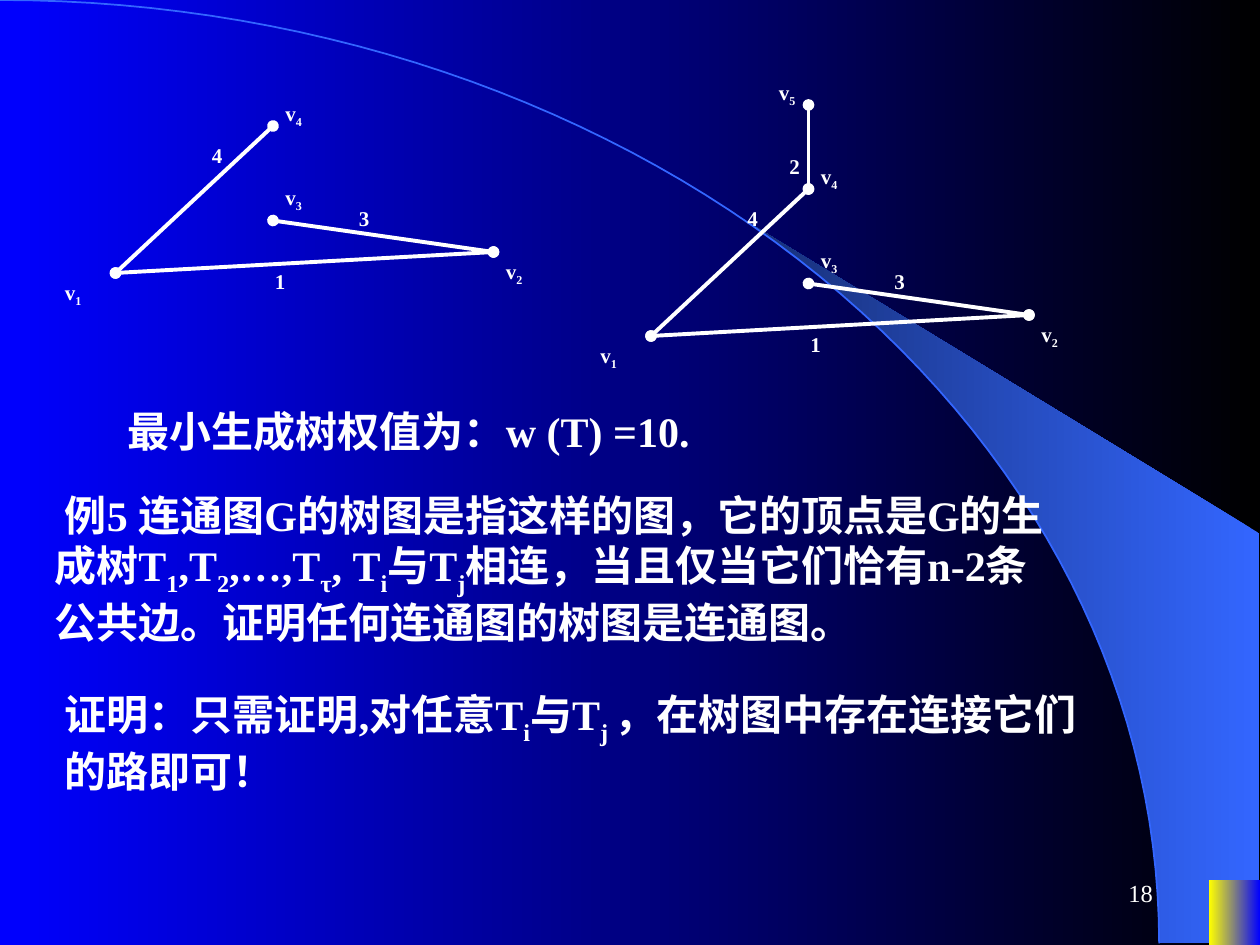
from math import acos, cos, radians, sin
from pptx import Presentation
from pptx.dml.color import RGBColor as RGB
from pptx.enum.shapes import MSO_CONNECTOR as CONN, MSO_SHAPE as SHAPE
from pptx.enum.text import MSO_ANCHOR as ANCHOR, MSO_AUTO_SIZE as AUTO, PP_ALIGN as ALIGN
from pptx.oxml.ns import qn
from pptx.util import Pt
from lxml.etree import SubElement

FONT = "Times New Roman"
COLORS = {"white": "FFFFFF", "black": "000000", "blue": "0000FF", "yellow": "FFFF00",
          "arc": "3366FF", "arc_dark": "172F75"}

# Text pieces alternate between normal and subscript.
TEXTS = [
    ((30, 228, 594, 36), 36, ["最小生成树权值为：w (T) =10."]),
    ((24, 276, 594, 98), 6,
     ["例5 连通图G的树图是指这样的图，它的顶点是G的生成树T", "1", ",T", "2", ",…,T", "τ",
      ", T", "i", "与T", "j", "相连，当且仅当它们恰有n-2条公共边。证明任何连通图的树图是连通图。"]),
    ((30, 390, 594, 69), 0,
     ["证明：只需证明,对任意T", "i", "与T", "j ", "，在树图中存在连接它们的路即可！"]),
]

VERTICES = {
    "1": ((66, 156), (30, 156)),
    "2": ((282, 144), (282, 144)),
    "3": ((156, 126), (156, 102)),
    "4": ((156, 72), (156, 54)),
    "5": ((156, 24), (132, 6)),
}
TREE = [("1", "2", "1", (150, 150)), ("4", "1", "4", (114, 78)), ("3", "2", "3", (198, 114))]
GRAPHS = [((0, 0), TREE), ((306, 36), TREE + [("5", "4", "2", (138, 48))])]

ARC_CENTER_Y, ARC_RX, ARC_RY = 539, 662.4, 539
WEDGE_TOP_X = 424
WEDGE_CORNERS = [(719.3, 304.6), (719.3, 539)]


def color(name):
    return RGB.from_string(COLORS[name])


def set_gradient(fill, right, left):
    fill.gradient()
    fill.gradient_angle = 180
    for stop, name in zip(fill.gradient_stops, (right, left)):
        stop.color.rgb = color(name)


def arc_points(start, end, steps=60):
    angles = [start + (end - start) * i / steps for i in range(steps + 1)]
    return [(ARC_RX * cos(a), ARC_CENTER_Y - ARC_RY * sin(a)) for a in angles]


def add_freeform(points, close):
    pts = [(Pt(x), Pt(y)) for x, y in points]
    builder = s.shapes.build_freeform(*pts[0], scale=1.0)
    builder.add_line_segments(pts[1:], close=close)
    sp = builder.convert_to_shape()
    sp.shadow.inherit = False
    return sp


def add_text(box, pieces, size, bold=True, indent=0):
    sp = s.shapes.add_textbox(*map(Pt, box))
    tf = sp.text_frame
    tf.word_wrap = True
    tf.auto_size = AUTO.SHAPE_TO_FIT_TEXT
    p = tf.paragraphs[0]
    if indent:
        p._p.get_or_add_pPr().set("indent", str(Pt(indent)))
    for i, piece in enumerate(pieces):
        r = p.add_run()
        r.text = piece
        r.font.name, r.font.size, r.font.bold = FONT, Pt(size), bold
        r.font.color.rgb = color("white")
        if i % 2:
            r.font._element.set("baseline", "-25000")
    return tf


def add_edge(start, end):
    c = s.shapes.add_connector(CONN.STRAIGHT, *map(Pt, start + end))
    c.line.color.rgb = color("white")
    c.line.width = Pt(2.25)
    ln = c.line._get_or_add_ln()
    for tag in ("a:headEnd", "a:tailEnd"):
        SubElement(ln, qn(tag)).set("type", "oval")
    SubElement(c._element.spPr, qn("a:effectLst"))


def add_graph(offset, edges):
    def shift(point):
        return tuple(a + b for a, b in zip(point, offset))

    for start, end, _, _ in edges:
        add_edge(shift(VERTICES[start][0]), shift(VERTICES[end][0]))
    for _, _, weight, at in edges:
        add_text((*shift(at), 25, 21.6), [weight], 12)
    for v in sorted({v for edge in edges for v in edge[:2]}):
        add_text((*shift(VERTICES[v][1]), 37.4, 23.8), ["v", v], 12)


prs = Presentation()
prs.slide_width, prs.slide_height = Pt(720), Pt(540)
s = prs.slides.add_slide(prs.slide_layouts[6])
set_gradient(s.background.fill, "black", "blue")

wedge = add_freeform(arc_points(0, acos(WEDGE_TOP_X / ARC_RX)) + WEDGE_CORNERS, True)
set_gradient(wedge.fill, "arc", "arc_dark")
wedge.line.fill.background()

arc = add_freeform(arc_points(radians(90), 0), False)
arc.fill.background()
arc.line.color.rgb = color("arc")
arc.line.width = Pt(1)

corner = s.shapes.add_shape(SHAPE.RECTANGLE, Pt(691), Pt(502.6), Pt(29), Pt(37.4))
corner.shadow.inherit = False
set_gradient(corner.fill, "blue", "yellow")
corner.line.fill.background()

for offset, edges in GRAPHS:
    add_graph(offset, edges)
for box, indent, pieces in TEXTS:
    add_text(box, pieces, 24, indent=indent)

number = add_text((516, 492, 150, 36), ["18"], 14, bold=False)
number.auto_size = AUTO.NONE
number.vertical_anchor = ANCHOR.MIDDLE
number.paragraphs[0].alignment = ALIGN.RIGHT

prs.save("out.pptx")
